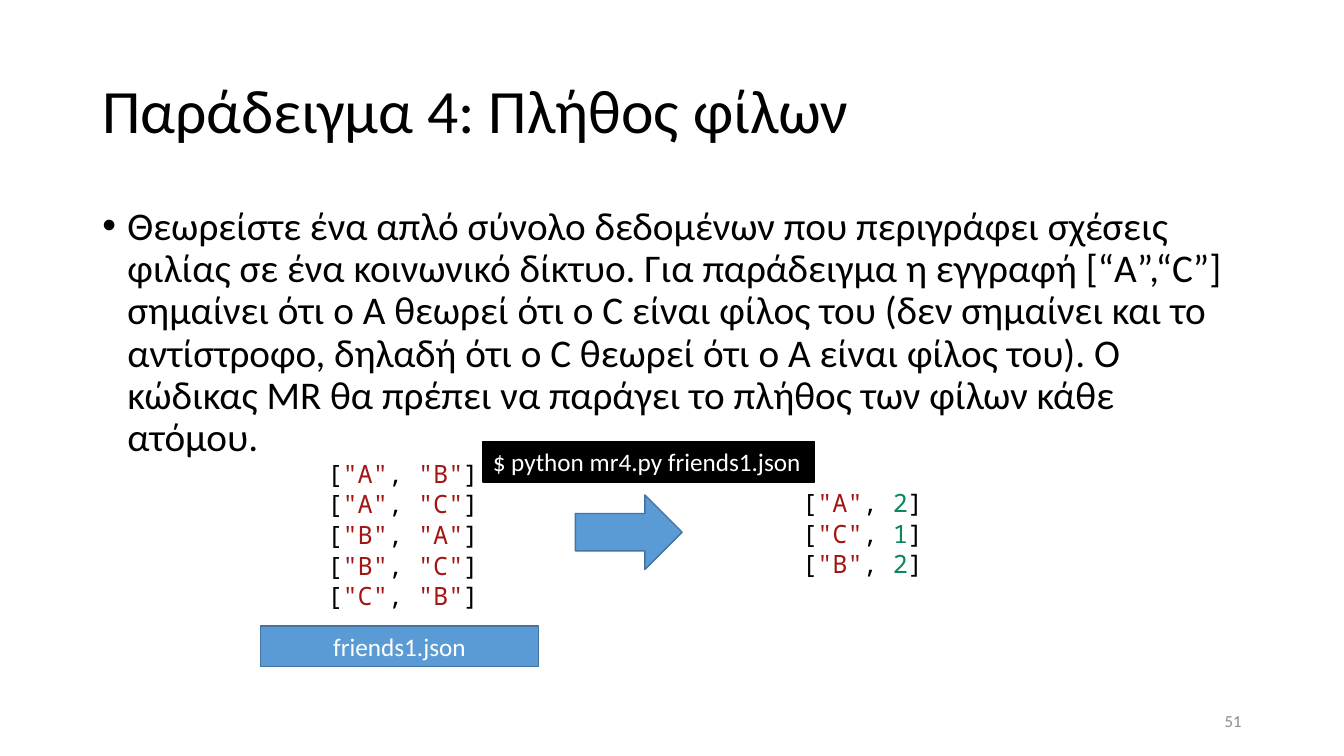
from pptx import Presentation
from pptx.dml.color import RGBColor
from pptx.enum.shapes import MSO_SHAPE as Shape
from pptx.enum.text import MSO_ANCHOR as Anchor, PP_ALIGN as Align
from pptx.util import Pt
from lxml.etree import SubElement
from pptx.oxml.ns import qn

BLACK, WHITE, GREY = "000000", "FFFFFF", "8C8C8C"
BLUE, DARK_BLUE = "5B9BD5", "43739E"
STRING_RED, NUMBER_GREEN = "A31515", "09885A"


def color(value):
    return RGBColor.from_string(value)


class SlideBuilder:
    body_font, code_font = "Calibri", "Noto Sans Mono"

    def __init__(self, slide):
        self.slide = slide

    def style(self, run, size, ink, font):
        run.font.size = Pt(size)
        run.font.name = font
        run.font.color.rgb = color(ink)

    def box(self, at, anchor=Anchor.TOP):
        frame = self.slide.shapes.add_textbox(*map(Pt, at)).text_frame
        frame.word_wrap = True
        frame.vertical_anchor = anchor
        return frame

    def label(self, frame, text, size, ink, align=Align.LEFT, spacing=1.0):
        frame.text = text
        paragraph = frame.paragraphs[0]
        paragraph.alignment = align
        paragraph.line_spacing = spacing
        self.style(paragraph.runs[0], size, ink, self.body_font)
        return paragraph

    def bullet(self, paragraph, indent):
        properties = paragraph._p.get_or_add_pPr()
        properties.set("marL", str(Pt(indent)))
        properties.set("indent", str(-Pt(indent)))
        SubElement(properties, qn("a:buFont")).set("typeface", "Arial")
        SubElement(properties, qn("a:buChar")).set("char", "•")

    def pairs(self, at, rows, value_ink):
        """List JSON pairs, one a line, with coloured keys and values."""
        frame = self.box(at)
        for index, (key, value) in enumerate(rows):
            line = frame.add_paragraph() if index else frame.paragraphs[0]
            line.line_spacing = Pt(21.9)
            for text, ink in (("[", BLACK), (f'"{key}"', STRING_RED),
                              (", ", BLACK), (value, value_ink), ("]", BLACK)):
                run = line.add_run()
                run.text = text
                self.style(run, 18, ink, self.code_font)

    def shape(self, kind, at, fill, line):
        shape = self.slide.shapes.add_shape(kind, *map(Pt, at))
        shape.shadow.inherit = False
        shape.fill.solid()
        shape.fill.fore_color.rgb = color(fill)
        shape.line.color.rgb = color(line)
        shape.line.width = Pt(1)
        return shape.text_frame


def main():
    deck = Presentation()
    deck.slide_width, deck.slide_height = Pt(960), Pt(540)
    builder = SlideBuilder(deck.slides.add_slide(deck.slide_layouts[6]))

    # Title and description
    title = builder.box((66, 28.75, 828, 104.4), Anchor.MIDDLE)
    builder.label(title, "Παράδειγμα 4: Πλήθος φίλων", 44, BLACK, spacing=0.9)
    description = builder.label(
        builder.box((66, 143.75, 828, 342.6)),
        "Θεωρείστε ένα απλό σύνολο δεδομένων που περιγράφει σχέσεις φιλίας σε "
        "ένα κοινωνικό δίκτυο. Για παράδειγμα η εγγραφή [“A”,“C”] σημαίνει ότι "
        "ο Α θεωρεί ότι ο C είναι φίλος του (δεν σημαίνει και το αντίστροφο, "
        "δηλαδή ότι ο C θεωρεί ότι ο Α είναι φίλος του). Ο κώδικας MR θα πρέπει "
        "να παράγει το πλήθος των φίλων κάθε ατόμου.",
        28, BLACK, spacing=0.9)
    builder.bullet(description, 18)

    # Input friendships and resulting counts
    friendships = [(a, f'"{b}"') for a, b in ("AB", "AC", "BA", "BC", "CB")]
    builder.pairs((226.8, 323.3, 134.6, 116.6), friendships, STRING_RED)
    builder.pairs((565.9, 344.2, 115.2, 72.7), ("A2", "C1", "B2"), NUMBER_GREEN)

    # File label, arrow and command
    file_label = builder.shape(Shape.RECTANGLE, (186, 447.1, 198.7, 29.2),
                               BLUE, DARK_BLUE)
    builder.label(file_label, "friends1.json", 18, WHITE, Align.CENTER)
    builder.shape(Shape.RIGHT_ARROW, (411, 353.5, 76.3, 53.3), BLUE, DARK_BLUE)
    command = builder.shape(Shape.RECTANGLE, (344.9, 315.2, 236.9, 29), BLACK, BLACK)
    command.word_wrap = False
    builder.label(command, "$ python mr4.py friends1.json", 18, WHITE)

    # Slide number
    number = builder.box((678, 500.5, 216, 28.75), Anchor.MIDDLE)
    builder.label(number, "51", 12, GREY, Align.RIGHT)

    deck.save("out.pptx")


if __name__ == "__main__":
    main()
